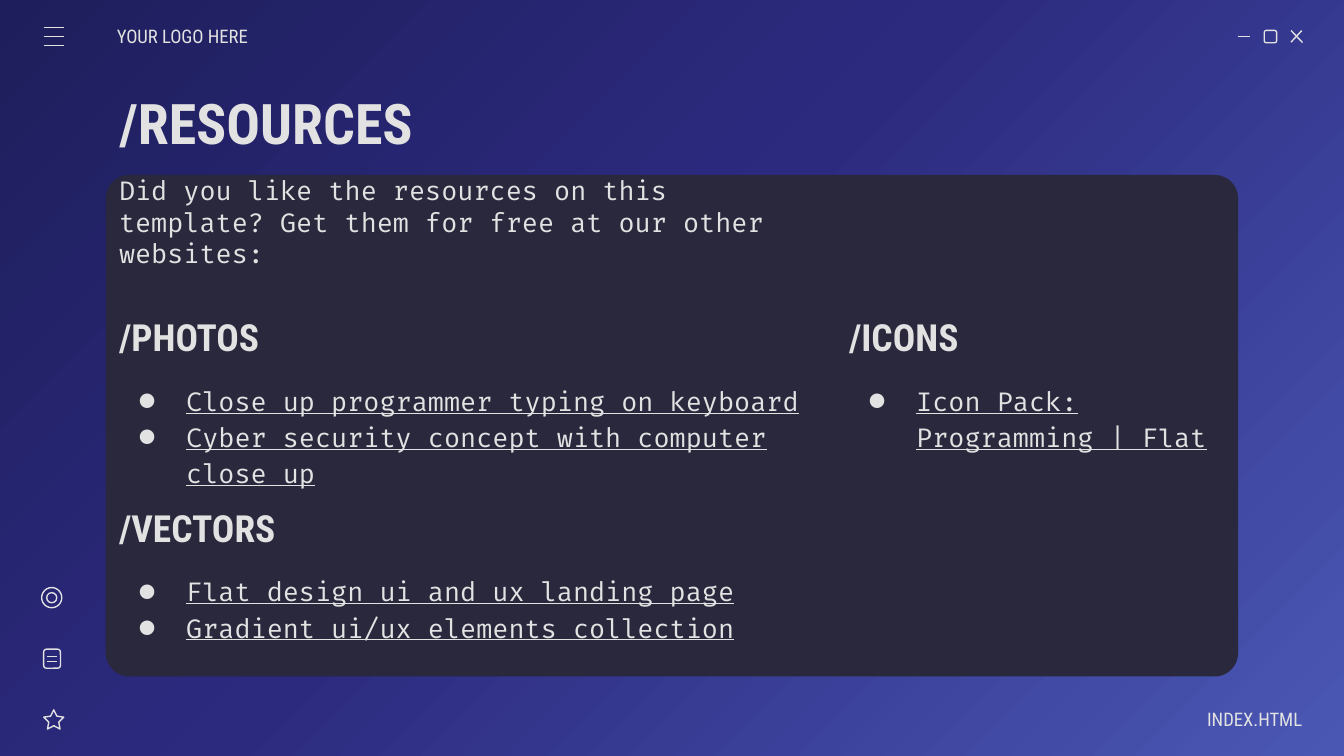
from dataclasses import dataclass

from lxml.etree import SubElement
from pptx import Presentation
from pptx.dml.color import RGBColor
from pptx.enum.shapes import MSO_CONNECTOR, MSO_SHAPE
from pptx.enum.text import MSO_ANCHOR, MSO_AUTO_SIZE, PP_ALIGN
from pptx.oxml.ns import qn
from pptx.util import Pt

LIGHT = RGBColor(0xE2, 0xE2, 0xE2)
PANEL = RGBColor(0x29, 0x28, 0x3D)
GRADIENT = [
    (0, RGBColor(0x1E, 0x1E, 0x5C)),
    (46, RGBColor(0x2C, 0x2A, 0x7F)),
    (100, RGBColor(0x4A, 0x58, 0xB4)),
]
HEAD_FONT, BODY_FONT = "Roboto Condensed", "Fira Code"
INSET = 7.2
LEFT, RIGHT = 56.7, 447.8
WIDE, NARROW = 391, 215.5


@dataclass
class Section:
    heading: str
    left: float
    top: float
    width: float
    links: list[str]


@dataclass
class Outline:
    kind: MSO_SHAPE
    left: float
    top: float
    width: float
    height: float


@dataclass
class Stroke:
    x1: float
    y1: float
    x2: float
    y2: float


SECTIONS = [
    Section("/PHOTOS", LEFT, 164, WIDE, [
        "Close up programmer typing on keyboard",
        "Cyber security concept with computer close up",
    ]),
    Section("/VECTORS", LEFT, 266.2, WIDE, [
        "Flat design ui and ux landing page",
        "Gradient ui/ux elements collection",
    ]),
    Section("/ICONS", RIGHT, 164, NARROW, ["Icon Pack: Programming | Flat"]),
]
OUTLINES = [
    Outline(MSO_SHAPE.ROUNDED_RECTANGLE, 677.3, 16.3, 6.6, 6.6),  # maximise
    Outline(MSO_SHAPE.OVAL, 22.3, 314.8, 10.8, 10.8),
    Outline(MSO_SHAPE.OVAL, 25, 317.5, 5.4, 5.4),
    Outline(MSO_SHAPE.ROUNDED_RECTANGLE, 23.4, 347.8, 9, 10.2),
    Outline(MSO_SHAPE.STAR_5_POINT, 23.4, 380.3, 10.8, 10.3),
]
STROKES = [
    Stroke(663, 19.6, 669.8, 19.6),  # minimise
    Stroke(691.7, 16.4, 697.8, 22.8),  # close
    Stroke(697.4, 16.4, 691.6, 22.6),
    *(Stroke(23.4, y, 34.2, y) for y in (14.8, 19.6, 24.4)),  # menu
    *(Stroke(25.3, y, 30.5, y) for y in (351.7, 354.3)),  # document
]


def set_background(slide) -> None:
    """Radial gradient spreading from the top left corner."""
    fill = slide.background.fill
    fill.gradient()
    grad = slide.background._cSld.find(".//" + qn("a:gradFill"))
    for child in list(grad):
        grad.remove(child)
    stops = SubElement(grad, qn("a:gsLst"))
    for pos, color in GRADIENT:
        gs = SubElement(stops, qn("a:gs"), pos=str(pos * 1000))
        SubElement(gs, qn("a:srgbClr"), val=str(color))
    radial = SubElement(grad, qn("a:path"), path="circle")
    SubElement(radial, qn("a:fillToRect"), r="100000", b="100000")


def add_outline(slide, o: Outline) -> None:
    sp = slide.shapes.add_shape(o.kind, Pt(o.left), Pt(o.top), Pt(o.width), Pt(o.height))
    sp.shadow.inherit = False
    sp.fill.background()
    sp.line.color.rgb = LIGHT
    sp.line.width = Pt(0.75)
    if o.kind == MSO_SHAPE.STAR_5_POINT:
        sp.adjustments[0] = 0.25


def add_stroke(slide, s: Stroke) -> None:
    line = slide.shapes.add_connector(
        MSO_CONNECTOR.STRAIGHT, Pt(s.x1), Pt(s.y1), Pt(s.x2), Pt(s.y2))
    line.line.color.rgb = LIGHT
    line.line.width = Pt(0.75)
    SubElement(line._element.spPr, qn("a:effectLst"))


def add_bullet(p) -> None:
    pPr = p._p.get_or_add_pPr()
    pPr.set("marL", str(Pt(36)))
    pPr.set("indent", str(-Pt(25.2)))
    color = SubElement(pPr, qn("a:buClr"))
    SubElement(color, qn("a:srgbClr"), val=str(LIGHT))
    SubElement(pPr, qn("a:buFont"), typeface=BODY_FONT)
    SubElement(pPr, qn("a:buChar"), char="●")


def write(sp, box, *lines: str, size=14, font=BODY_FONT, bold=False, bullets=False,
          anchor=MSO_ANCHOR.MIDDLE, align=PP_ALIGN.LEFT, inset_left=INSET,
          inset_right=INSET) -> None:
    """Place a text shape and fill it with one paragraph per line."""
    sp.left, sp.top, sp.width, sp.height = (Pt(v) for v in box)
    tf = sp.text_frame
    tf.word_wrap = True
    tf.auto_size = MSO_AUTO_SIZE.NONE
    tf.vertical_anchor = anchor
    tf.margin_left, tf.margin_right = Pt(inset_left), Pt(inset_right)
    tf.margin_top = tf.margin_bottom = Pt(INSET)
    for i, line in enumerate(lines):
        p = tf.add_paragraph() if i else tf.paragraphs[0]
        if bullets:
            add_bullet(p)
            p.line_spacing = 1.15
        p.alignment = align
        p.space_before = Pt(0)
        r = p.add_run()
        r.text = line
        r.font.name = font
        r.font.size = Pt(size)
        r.font.bold = bold
        r.font.underline = bullets
        r.font.color.rgb = LIGHT


def add_text(slide, box, *lines: str, **fmt) -> None:
    write(slide.shapes.add_textbox(0, 0, 0, 0), box, *lines, **fmt)


def add_section(slide, s: Section) -> None:
    add_text(slide, (s.left, s.top, s.width, 33), s.heading,
             size=20, font=HEAD_FONT, bold=True)
    add_text(slide, (s.left, s.top + 32.6, s.width, 48), *s.links,
             bullets=True, anchor=MSO_ANCHOR.TOP)


def main() -> None:
    prs = Presentation()
    prs.slide_width, prs.slide_height = Pt(720), Pt(405)
    slide = prs.slides.add_slide(prs.slide_layouts[5])
    set_background(slide)

    panel = slide.shapes.add_shape(
        MSO_SHAPE.ROUNDED_RECTANGLE, Pt(LEFT), Pt(93.7), Pt(606.6), Pt(268.7))
    panel.shadow.inherit = False
    panel.adjustments[0] = 0.047
    panel.fill.solid()
    panel.fill.fore_color.rgb = PANEL
    panel.line.fill.background()

    write(slide.shapes.title, (LEFT, 42.5, 452, 45.4), "/RESOURCES",
          size=30, font=HEAD_FONT, bold=True)
    add_text(slide, (LEFT, 99.4, WIDE, 51.8),
             "Did you like the resources on this template? "
             "Get them for free at our other websites:",
             anchor=MSO_ANCHOR.BOTTOM)
    for section in SECTIONS:
        add_section(slide, section)
    add_text(slide, (62.6, 8.7, 84.2, 21.6), "YOUR LOGO HERE",
             size=10, font=HEAD_FONT, inset_left=0)
    add_text(slide, (613.4, 374.6, 84.2, 21.6), "INDEX.HTML",
             size=10, font=HEAD_FONT, align=PP_ALIGN.RIGHT, inset_right=0)
    for outline in OUTLINES:
        add_outline(slide, outline)
    for stroke in STROKES:
        add_stroke(slide, stroke)
    prs.save("out.pptx")


if __name__ == "__main__":
    main()
